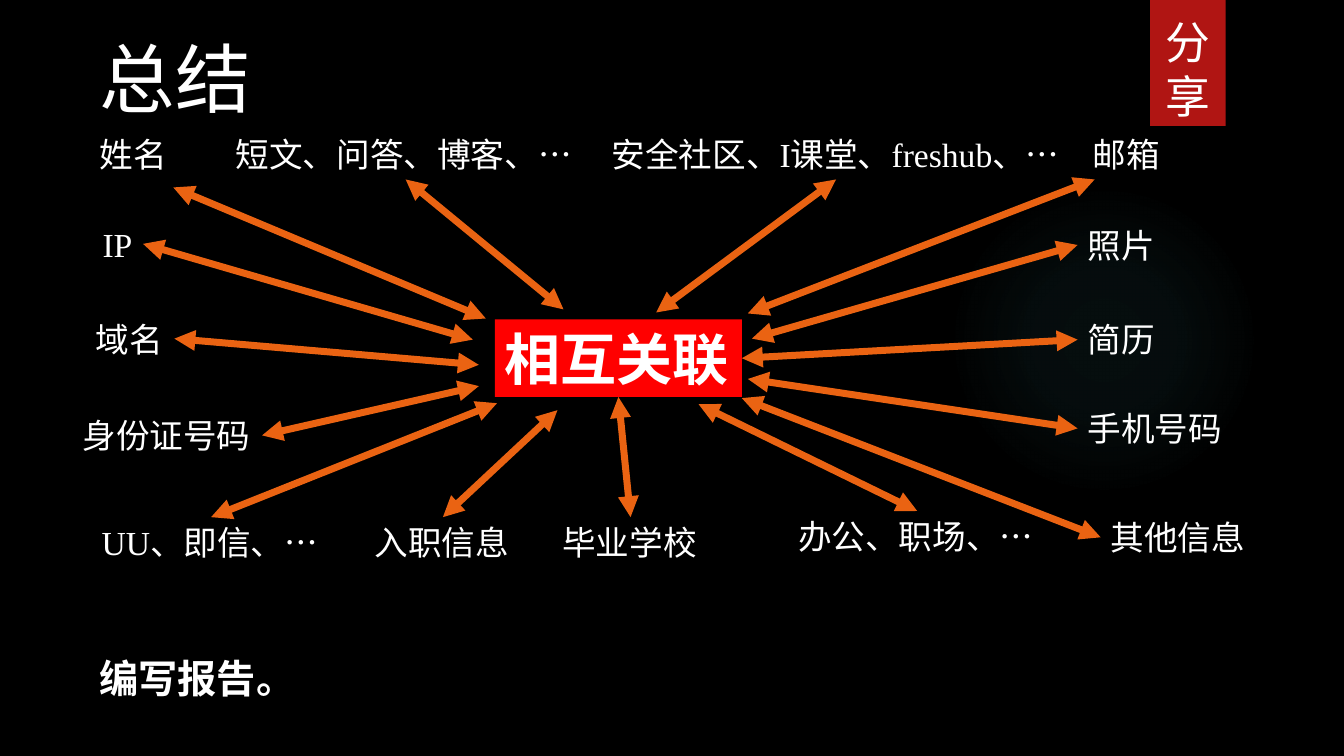
from lxml.etree import SubElement
from pptx import Presentation
from pptx.dml.color import RGBColor
from pptx.enum.dml import MSO_LINE
from pptx.enum.shapes import MSO_CONNECTOR, MSO_SHAPE
from pptx.enum.text import MSO_ANCHOR, MSO_AUTO_SIZE, PP_ALIGN
from pptx.oxml import parse_xml
from pptx.oxml.ns import nsdecls, qn
from pptx.util import Pt

TOP, LEFT, BOTTOM, RIGHT = range(4)
SERIF = "Times New Roman"


def color(value):
    return RGBColor.from_string(value)


def write(box, text, size, name=SERIF, bold=False, wrap=False):
    frame = box.text_frame
    frame_format = {
        "word_wrap": wrap,
        "auto_size": MSO_AUTO_SIZE.NONE,
        "vertical_anchor": MSO_ANCHOR.TOP,
    }
    for key, value in frame_format.items():
        setattr(frame, key, value)
    para = frame.paragraphs[0]
    para.alignment = PP_ALIGN.LEFT
    span = para.add_run()
    span.text = text
    for key, value in {"name": name, "size": Pt(size), "bold": bold}.items():
        setattr(span.font, key, value)
    span.font.color.rgb = color("FFFFFF")


deck = Presentation()
deck.slide_width, deck.slide_height = Pt(960), Pt(540)
page = deck.slides.add_slide(deck.slide_layouts[5])
page.background.fill.solid()
page.background.fill.fore_color.rgb = color("000000")
shapes = page.shapes

glow = shapes.add_shape(MSO_SHAPE.OVAL, Pt(677.5), Pt(131.8), Pt(221.8), Pt(221.8))
glow.shadow.inherit = False
glow.line.fill.background()
stops = "".join(
    f'<a:gs pos="{place * 1000}"><a:srgbClr val="50B9C1">'
    f'<a:alpha val="{alpha * 1000}"/></a:srgbClr></a:gs>'
    for place, alpha in [(0, 7), (36, 6), (69, 0), (100, 0)]
)
gradient = parse_xml(
    f'<a:gradFill {nsdecls("a")}><a:gsLst>{stops}</a:gsLst><a:path path="circle">'
    '<a:fillToRect l="50000" t="50000" r="50000" b="50000"/></a:path></a:gradFill>'
)
glow._element.spPr.find(qn("a:prstGeom")).addnext(gradient)

blocks = []
for left, top, width, height, fill in [
    (821.5, 0, 54, 90, "B01513"),
    (353.5, 228.2, 176.4, 55.4, "FF0000"),
]:
    block = shapes.add_shape(
        MSO_SHAPE.RECTANGLE, Pt(left), Pt(top), Pt(width), Pt(height)
    )
    block.shadow.inherit = False
    block.fill.solid()
    block.fill.fore_color.rgb = color(fill)
    block.line.fill.background()
    blocks.append(block)
center = blocks[1]
write(center, "相互关联", 40, bold=True)

ribbon = shapes.add_textbox(Pt(825.1), Pt(7.2), Pt(46.8), Pt(85))
write(ribbon, "分享", 32, "Arial", wrap=True)

title = shapes.title
title_place = {"left": 64, "top": 19.4, "width": 123.8, "height": 72.7}
for key, value in title_place.items():
    setattr(title, key, Pt(value))
write(title, "总结", 54)

closing = shapes.add_textbox(Pt(64), Pt(463.7), Pt(156.2), Pt(41))
write(closing, "编写报告。", 28, "TeX Gyre Adventor", bold=True)

topics = [
    ("姓名", 64, 92.2, 63.4, (123.8, 133.9), (347, 227.5)),
    ("IP", 66.2, 156.2, 36, RIGHT, (337.7, 242.6)),
    ("域名", 61.2, 223.9, 63.4, RIGHT, (342, 260.6)),
    ("身份证号码", 51.8, 293, 135.4, RIGHT, (342, 275.8)),
    ("UU、即信、…", 65.5, 369.4, 170.6, TOP, (355, 288)),
    ("入职信息", 260.6, 369.4, 111.6, TOP, (398.2, 293)),
    ("毕业学校", 394.6, 369.4, 111.6, TOP, BOTTOM),
    ("办公、职场、…", 563, 365, 184.3, TOP, (499, 288.7)),
    ("其他信息", 786.2, 365.8, 111.6, LEFT, (529.9, 284.4)),
    ("手机号码", 769.7, 288, 111.6, LEFT, (534.2, 270.7)),
    ("简历", 769.7, 224.6, 63.4, LEFT, RIGHT),
    ("照片", 769.7, 157, 63.4, LEFT, (537.1, 241.9)),
    ("邮箱", 773.3, 92.2, 63.4, (781.9, 128.2), (534.2, 223.9)),
    ("安全社区、I课堂、freshub、…", 429.8, 92.2, 334.8, BOTTOM, (468.7, 223.2)),
    ("短文、问答、博客、…", 161.3, 92.2, 257, BOTTOM, (402.5, 221)),
]
wrapped = ("UU", "安全")
for text, left, top, width, start, end in topics:
    label = shapes.add_textbox(Pt(left), Pt(top), Pt(width), Pt(36))
    write(label, text, 24, wrap=text.startswith(wrapped))
    arrow = shapes.add_connector(MSO_CONNECTOR.STRAIGHT, 0, 0, 0, 0)
    if isinstance(start, tuple):
        arrow.begin_x, arrow.begin_y = map(Pt, start)
    else:
        arrow.begin_connect(label, start)
    if isinstance(end, tuple):
        arrow.end_x, arrow.end_y = map(Pt, end)
    else:
        arrow.end_connect(center, end)
    line_format = {"width": Pt(5), "dash_style": MSO_LINE.SOLID}
    for key, value in line_format.items():
        setattr(arrow.line, key, value)
    arrow.line.color.rgb = color("EA6312")
    outline = arrow.line._get_or_add_ln()
    for tip in ("a:headEnd", "a:tailEnd"):
        SubElement(outline, qn(tip), type="triangle")
    SubElement(arrow._element.spPr, qn("a:effectLst"))

deck.save("out.pptx")
